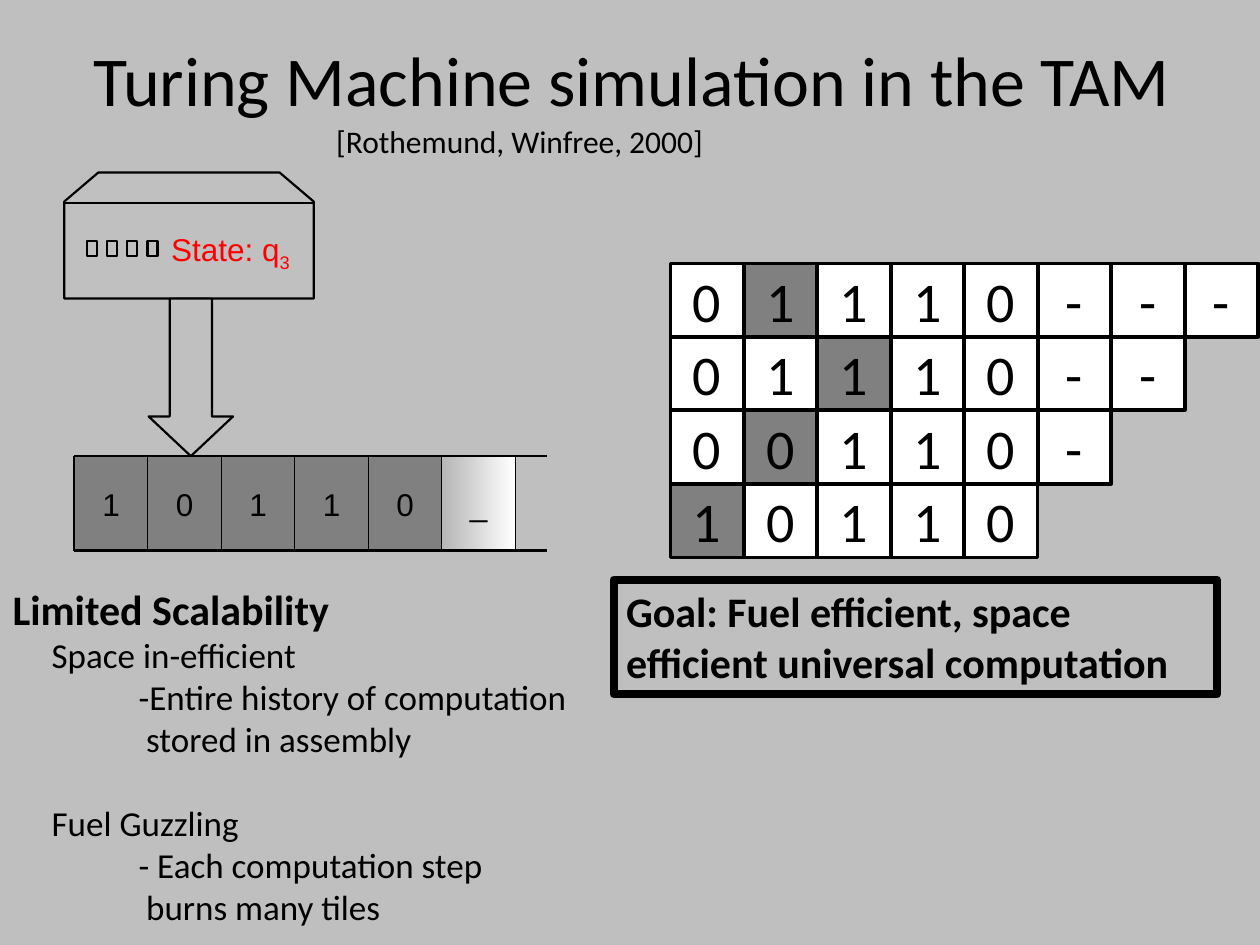
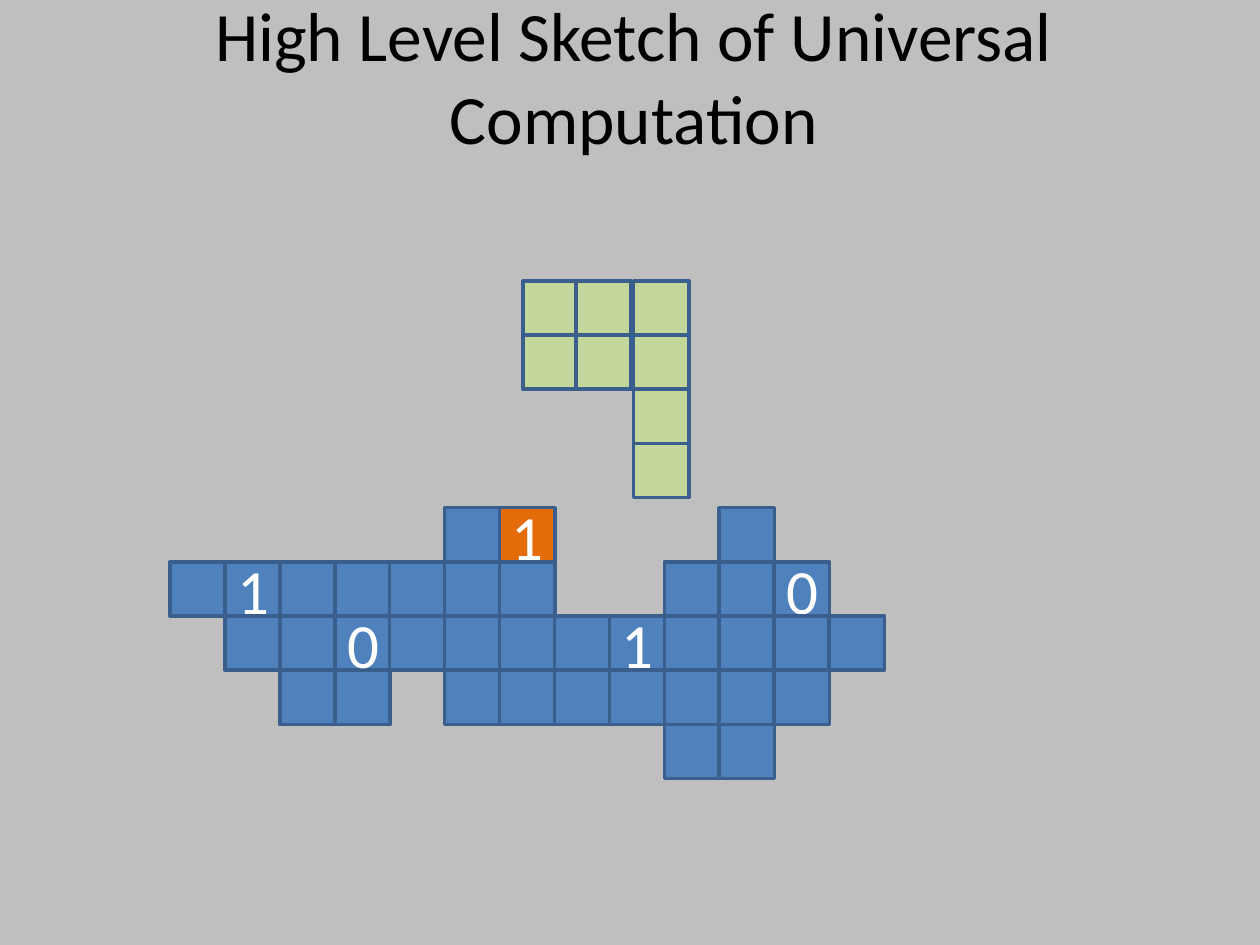
from lxml import etree
from pptx import Presentation
from pptx.dml.color import RGBColor
from pptx.enum.shapes import MSO_CONNECTOR, MSO_SHAPE
from pptx.enum.text import MSO_ANCHOR, MSO_AUTO_SIZE, PP_ALIGN
from pptx.oxml.ns import qn
from pptx.util import Inches, Pt

RECTANGLE, DOWN_ARROW = MSO_SHAPE.RECTANGLE, MSO_SHAPE.DOWN_ARROW
STRAIGHT = MSO_CONNECTOR.STRAIGHT
TOP, MIDDLE = MSO_ANCHOR.TOP, MSO_ANCHOR.MIDDLE
LEFT, CENTER = PP_ALIGN.LEFT, PP_ALIGN.CENTER
NO_FIT = MSO_AUTO_SIZE.NONE

COLOURS = {
    "ground": "BFBFBF", "ink": "000000", "paper": "FFFFFF", "state": "FF0000",
    "machine": "C0C0C0", "head": "808080", "fade": "B6B6B6",
    "tile": "4F81BD", "edge": "3A5F8C", "active": "E46C0A", "gadget": "C3D69B",
}
TITLE_LAYOUTS = {"list": 1, "plain": 5}
SQUARE = 7 / 12  # side of a tape or history cell


def colour(name):
    return RGBColor.from_string(COLOURS[name])


class Page:
    """Holds the deck style and the current slide."""

    def __init__(self):
        self.deck = Presentation()
        self.deck.slide_width, self.deck.slide_height = Inches(10), Inches(7.5)
        background = self.deck.slide_master.background.fill
        background.solid()
        background.fore_color.rgb = colour("ground")
        self.slide = None

    def start(self, layout, title, at, size):
        layouts = self.deck.slide_layouts
        self.slide = self.deck.slides.add_slide(layouts[TITLE_LAYOUTS[layout]])
        box = self.slide.shapes.title
        self.place(box, at)
        self.frame(box, anchor=MIDDLE)
        self.add_span(box.text_frame.paragraphs[0], title, CENTER, size=size)

    def place(self, box, at):
        for name, value in zip(("left", "top", "width", "height"), at):
            setattr(box, name, Inches(value))

    def frame(self, box, anchor=TOP, wrap=True):
        values = {"word_wrap": wrap, "auto_size": NO_FIT, "vertical_anchor": anchor}
        for name, value in values.items():
            setattr(box.text_frame, name, value)

    def add_span(self, paragraph, text, align=LEFT, size=18, font="Calibri",
                 bold=False, ink="ink"):
        paragraph.alignment = align
        span = paragraph.add_run()
        span.text = text
        for name, value in {"name": font, "size": Pt(size), "bold": bold}.items():
            setattr(span.font, name, value)
        span.font.color.rgb = colour(ink)
        return span

    def text(self, at, text, wrap=True, **style):
        box = self.slide.shapes.add_textbox(*map(Inches, at))
        self.frame(box, wrap=wrap)
        paragraph = box.text_frame.paragraphs[0]
        self.add_span(paragraph, text, **style)
        return paragraph

    def outline(self, shape, fill, edge="ink", weight=1.25):
        shape.shadow.inherit = False
        if fill:
            shape.fill.solid()
            shape.fill.fore_color.rgb = colour(fill)
        else:
            shape.fill.background()
        shape.line.color.rgb = colour(edge)
        shape.line.width = Pt(weight)

    def shape(self, at, fill, kind=RECTANGLE, **line):
        shape = self.slide.shapes.add_shape(kind, *map(Inches, at))
        self.outline(shape, fill, **line)
        return shape

    def polygon(self, points, fill):
        corners = [(Inches(x), Inches(y)) for x, y in points]
        builder = self.slide.shapes.build_freeform(*corners[0])
        builder.add_line_segments(corners[1:], close=True)
        self.outline(builder.convert_to_shape(), fill)

    def line(self, start, end):
        points = map(Inches, (*start, *end))
        line = self.slide.shapes.add_connector(STRAIGHT, *points)
        line.line.color.rgb = colour("ink")
        line.line.width = Pt(1.25)
        etree.SubElement(line._element.spPr, qn("a:effectLst"))

    def cell(self, at, label, fill, edge="ink", weight=2, wrap=True, **style):
        cell = self.shape(at, fill, edge=edge, weight=weight)
        self.frame(cell, MIDDLE, wrap)
        if label:
            self.add_span(cell.text_frame.paragraphs[0], label, CENTER, **style)
        return cell

    def grid(self, rows, lefts, top, cell_size, fill, marked=(), mark=None, **style):
        """Draw a cell per character: '.' is a gap and '#' an unlabelled cell."""
        width, height = cell_size
        for row, labels in enumerate(rows):
            for column, label in enumerate(labels):
                if label != ".":
                    at = (lefts[column], top + row * height, width, height)
                    shade = mark if (row, column) in marked else fill
                    self.cell(at, label.strip("#"), shade, **style)

    def outline_list(self, at, items):
        box = self.slide.placeholders[1]
        self.place(box, at)
        self.frame(box)
        content = box.text_frame
        for index, (text, indent, gap, style) in enumerate(items):
            paragraph = content.add_paragraph() if index else content.paragraphs[0]
            properties = paragraph._p.get_or_add_pPr()
            properties.set("marL", str(Inches(indent)))
            properties.set("indent", "0")
            etree.SubElement(properties, qn("a:buNone"))
            paragraph.space_before = Pt(gap)
            self.add_span(paragraph, text, **style)


def turing_machine(page):
    page.start("list", "Turing Machine simulation in the TAM", (0, 0, 10.03, 1.25), 40)
    page.text((2.57, 0.92, 3.51, 0.4), "[Rothemund, Winfree, 2000]")

    # Drawbacks and goal
    heading, plain = {"size": 24, "bold": True}, {"size": 20}
    page.outline_list((0, 4.58, 4.83, 2.86), [
        ("Limited Scalability", 0, 0, heading),
        ("Space in-efficient", 0.31, 0, plain),
        ("-Entire history of computation", 1, 0, plain),
        ("stored in assembly", 1.06, 0, plain),
        ("Fuel Guzzling", 0.31, 24, plain),
        ("- Each computation step", 1, 0, plain),
        ("burns many tiles", 1.06, 0, plain),
    ])
    goal = page.shape((4.87, 4.6, 4.79, 0.91), None, weight=4.5)
    page.frame(goal)
    page.add_span(goal.text_frame.paragraphs[0],
                  "Goal: Fuel efficient, space efficient universal computation",
                  **heading)

    # Tape
    left, top, right, bottom = 0.59, 3.62, 4.34, 4.37
    for column, symbol in enumerate("10110_"):
        at = (left + column * SQUARE, top, SQUARE, bottom - top)
        blank = page.cell(at, symbol, "head", weight=0.75, wrap=False, font="Arial")
    blank.fill.gradient()
    blank.fill.gradient_angle = 0
    for stop, name in zip(blank.fill.gradient_stops, ("fade", "paper")):
        stop.color.rgb = colour(name)

    # Machine and its read head
    page.polygon([(0.51, 1.6), (0.78, 1.37), (2.22, 1.37), (2.49, 1.6),
                  (2.49, 2.37), (0.51, 2.37)], "machine")
    page.line((0.51, 1.61), (2.49, 1.61))
    for lamp in range(4):
        page.shape((0.69 + lamp * 0.16, 1.91, 0.08, 0.12), "machine")
    arrow = page.shape((1.18, 2.37, 0.67, 1.25), "machine", DOWN_ARROW)
    arrow.adjustments[1] = 0.47
    state = {"font": "Arial", "ink": "state"}
    paragraph = page.text((1.26, 1.78, 1.15, 0.4), "State: q", wrap=False, **state)
    index = page.add_span(paragraph, "3", **state)
    index._r.get_or_add_rPr().set("baseline", "-25000")
    for y in (top, bottom):
        page.line((left, y), (right, y))
    page.line((left, top), (left, bottom))

    # History of the tape, newest on top, with the head position marked
    page.grid(["01110---", "01110--", "00110-", "10110"],
              [5.32 + column * SQUARE for column in range(8)], 2.09,
              (SQUARE, SQUARE), "paper", {(0, 1), (1, 2), (2, 1), (3, 0)}, "head",
              size=32)


def universal_computation(page):
    page.start("plain", "High Level Sketch of Universal Computation",
               (0.53, -0.03, 9, 1.25), 39.6)
    cell_size = (0.44, 0.43)

    # Assembly
    pitch = 5.23 / 12
    page.grid([".....#1...#",
               "#1#####..##0",
               ".##0####1####",
               "..##.#######",
               ".........##"],
              [1.35 + column * pitch for column in range(13)], 4.03, cell_size,
              "tile", {(0, 6)}, "active", edge="edge", ink="paper", size=36)

    # Gadget about to attach
    page.grid(["###", "###", "..#", "..#"], (4.15, 4.57, 5.03), 2.23, cell_size,
              "gadget", edge="edge")


def main():
    page = Page()
    turing_machine(page)
    universal_computation(page)
    page.deck.save("out.pptx")


if __name__ == "__main__":
    main()
